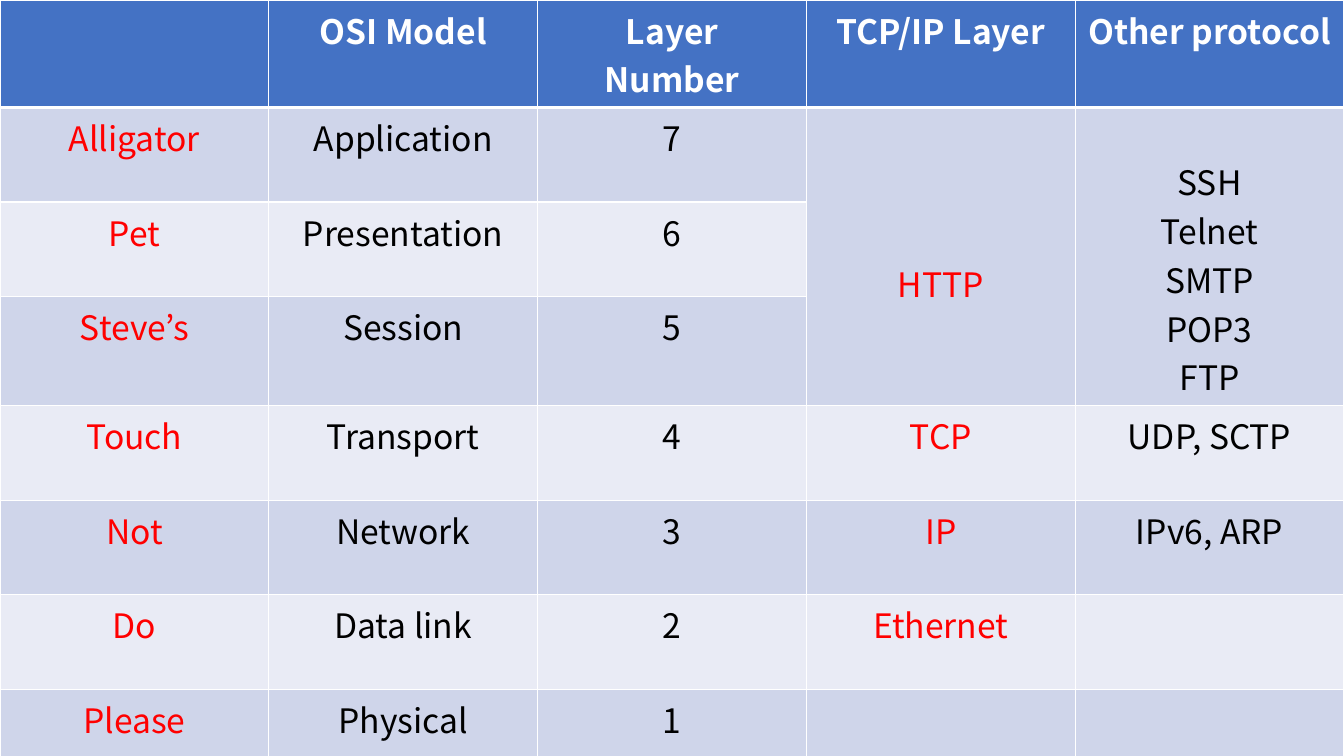
from lxml import etree
from pptx import Presentation
from pptx.dml.color import RGBColor
from pptx.enum.text import PP_ALIGN
from pptx.oxml.ns import qn
from pptx.util import Inches, Pt

CENTER = PP_ALIGN.CENTER
WIDTH, HEIGHT = Inches(13.33), Inches(7.5)
COLORS = {
    "header": "4472C4",
    "odd_band": "CFD5EA",
    "even_band": "E9EBF5",
    "rule": "FFFFFF",
    "heading": "FFFFFF",
    "key": "FF0000",
    "body": "000000",
}
FONT = {"name": "Noto Sans CJK KR", "size": Pt(24)}
HEADINGS = ["", "OSI Model", "Layer\vNumber", "TCP/IP Layer", "Other protocol"]
LAYERS = [
    ("Alligator", "Application", "7", "HTTP", "SSH\nTelnet\nSMTP\nPOP3\nFTP"),
    ("Pet", "Presentation", "6", "", ""),
    ("Steve’s", "Session", "5", "", ""),
    ("Touch", "Transport", "4", "TCP", "UDP, SCTP"),
    ("Not", "Network", "3", "IP", "IPv6, ARP"),
    ("Do", "Data link", "2", "Ethernet", ""),
    ("Please", "Physical", "1", "", ""),
]
KEY_COLUMNS = (0, 3)
# Column of each cell spanning layers 7 to 5, with its top margin in inches
MERGED_TOPS = {3: 1.5, 4: 0.49}


def add_borders(cell, widths):
    """Draw the four cell borders; widths maps a side to points."""
    properties = cell._tc.get_or_add_tcPr()
    for side, width in widths.items():
        line = etree.SubElement(properties, qn(f"a:ln{side}"), w=str(Pt(width)))
        fill = etree.SubElement(line, qn("a:solidFill"))
        etree.SubElement(fill, qn("a:srgbClr"), val=COLORS["rule"])


def fill_cell(cell, text, band, ink, bold):
    """Set the fill and the centred text of one cell."""
    cell.fill.solid()
    cell.fill.fore_color.rgb = RGBColor.from_string(COLORS[band])
    if not text:
        return
    cell.text_frame.text = text
    for paragraph in cell.text_frame.paragraphs:
        paragraph.alignment = CENTER
        for run in paragraph.runs:
            for attribute, value in {**FONT, "bold": bold}.items():
                setattr(run.font, attribute, value)
            run.font.color.rgb = RGBColor.from_string(COLORS[ink])


def add_layer_table(slide):
    """Add the table of OSI layers over the whole slide."""
    rows = [HEADINGS, *LAYERS]
    table = slide.shapes.add_table(
        len(rows), len(HEADINGS), 0, 0, WIDTH, HEIGHT
    ).table
    for row in table.rows:
        row.height = HEIGHT // len(rows)
    for row_index, texts in enumerate(rows):
        is_header = row_index == 0
        band = "header" if is_header else "odd_band" if row_index % 2 else "even_band"
        widths = {
            "L": 1,
            "R": 1,
            "T": 3 if row_index == 1 else 1,
            "B": 3 if is_header else 1,
        }
        for column, text in enumerate(texts):
            ink = "heading" if is_header else "key" if column in KEY_COLUMNS else "body"
            cell = table.cell(row_index, column)
            add_borders(cell, widths)
            fill_cell(cell, text, band, ink, is_header)
    for column, top in MERGED_TOPS.items():
        application = table.cell(1, column)
        application.merge(table.cell(3, column))
        application.margin_top = Inches(top)


def main():
    """Build and save the slide."""
    presentation = Presentation()
    presentation.slide_width, presentation.slide_height = WIDTH, HEIGHT
    slide = presentation.slides.add_slide(presentation.slide_layouts[6])
    add_layer_table(slide)
    presentation.save("out.pptx")


main()
